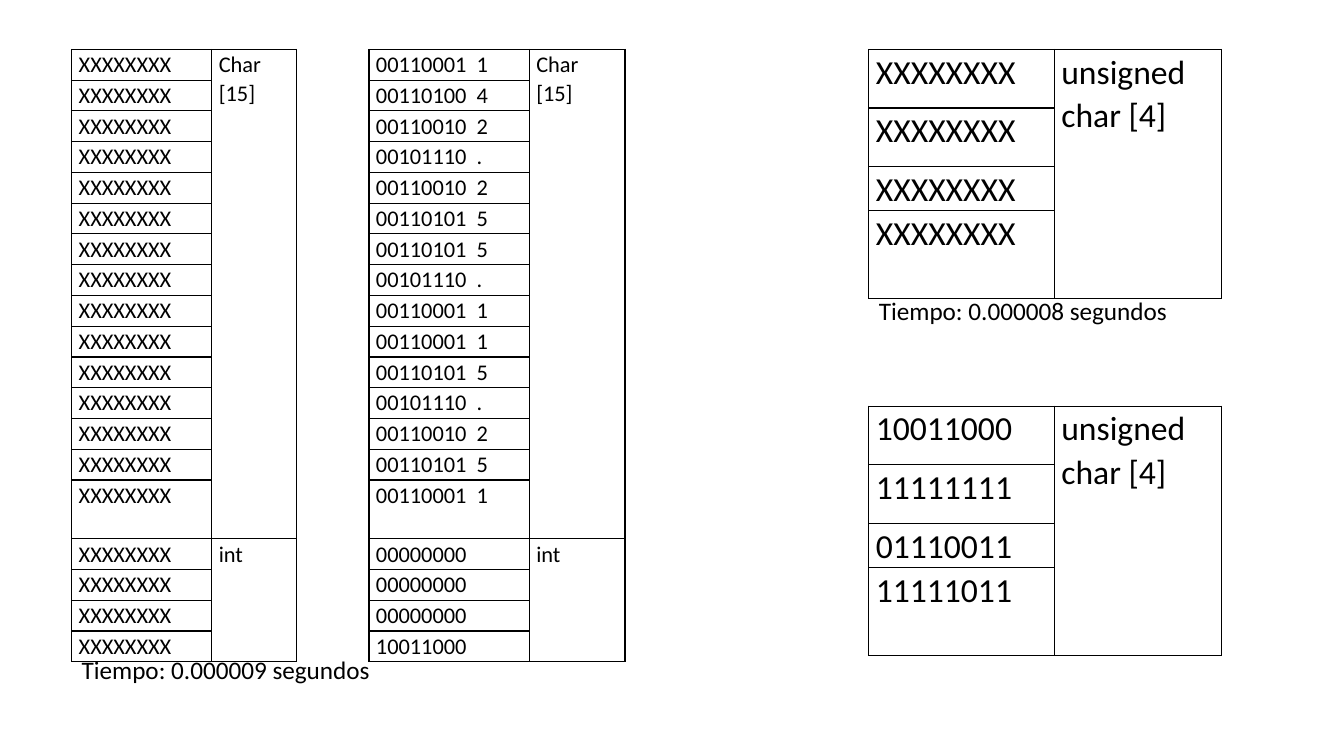
"""Build the slide that compares memory layouts of text and byte addresses."""
from lxml import etree
from pptx import Presentation, util as u
from pptx.dml.color import RGBColor
from pptx.enum import text as t
from pptx.oxml.ns import qn


def paint(hex):
    """Return the colour for a hex string."""
    return RGBColor.from_string(hex)


def write(frame, words, size=18, font="Calibri", ink="000000", line=None, after=0):
    """Put formatted words in a text frame."""
    para = frame.paragraphs[0]
    para.alignment = t.PP_ALIGN.LEFT
    para.space_after = u.Pt(after)
    if line:
        para.line_spacing = line
    run = para.add_run()
    run.text = words
    run.font.size, run.font.name = u.Pt(size), font
    run.font.color.rgb = paint(ink)


class Deck:
    """Hold the style and the current slide; lengths are percent of its size."""

    ink = "000000"
    rule = 1

    def __init__(self):
        """Open a deck with one blank wide slide."""
        self.file = Presentation()
        self.file.slide_width, self.file.slide_height = u.Inches(13.33), u.Inches(7.5)
        self.slide = self.file.slides.add_slide(self.file.slide_layouts[6])

    def wide(self, share):
        """Turn a percent of the width into a length."""
        return round(self.file.slide_width * share / 100)

    def high(self, share):
        """Turn a percent of the height into a length."""
        return round(self.file.slide_height * share / 100)

    def frame(self, cell):
        """Draw the four borders of a cell."""
        props = cell._tc.get_or_add_tcPr()
        for spot, side in enumerate(("L", "R", "T", "B")):
            edge = etree.Element(qn(f"a:ln{side}"), w=str(u.Pt(self.rule)))
            fill = etree.SubElement(edge, qn("a:solidFill"))
            etree.SubElement(fill, qn("a:srgbClr"), val=self.ink)
            props.insert(spot, edge)

    def table(self, left, top, cols, rows, bytes, types, size):
        """Add a column of bytes beside merged type cells."""
        grid = self.slide.shapes.add_table(
            len(rows), len(cols), self.wide(left), self.high(top),
            self.wide(sum(cols)), self.high(sum(rows))).table
        grid.first_row = grid.horz_banding = False
        for col, share in zip(grid.columns, cols):
            col.width = self.wide(share)
        for row, share in zip(grid.rows, rows):
            row.height = self.high(share)
        for cell in grid.iter_cells():
            cell.margin_left = cell.margin_right = u.Inches(0.07)
            cell.margin_top = cell.margin_bottom = 0
            cell.fill.background()
            self.frame(cell)
        look = dict(size=size, ink=self.ink, line=1.07, after=8)
        for row, word in enumerate(bytes):
            write(grid.cell(row, 0).text_frame, word, **look)
        start = 0
        for name, span in types:
            head = grid.cell(start, 1)
            head.merge(grid.cell(start + span - 1, 1))
            write(head.text_frame, name, **look)
            start += span

    def label(self, left, top, words):
        """Add a line of free text."""
        box = self.slide.shapes.add_textbox(
            self.wide(left), self.high(top), self.wide(23.63), self.high(5.33))
        box.text_frame.word_wrap = True
        write(box.text_frame, words, ink=self.ink)


BLANK = "XXXXXXXX"
LEFT, MID, RIGHT = 5.33, 27.45, 64.65
TOP, LOW = 6.53, 53.73
LONG = [4.07] * 14 + [7.78] + [4.07] * 4
SHORT = [7.75, 7.75, 5.83, 11.53]
MIXED = [("Char [15]", 15), ("int", 4)]
PLAIN = [("unsigned char [4]", 4)]

chars = [f"{ord(sign):08b}  {sign}" for sign in "142.255.115.251"]
number = ["00000000"] * 3 + ["10011000"]
packed = ["10011000", "11111111", "01110011", "11111011"]

deck = Deck()
deck.table(LEFT, TOP, [10.43, 6.3], LONG, [BLANK] * 19, MIXED, 16)
deck.table(MID, TOP, [11.93, 7.13], LONG, chars + number, MIXED, 16)
for top, bytes in ((TOP, [BLANK] * 4), (LOW, packed)):
    deck.table(RIGHT, top, [13.8, 12.45], SHORT, bytes, PLAIN, 24)
deck.label(LEFT, 85.87, "Tiempo: 0.000009 segundos")
deck.label(RIGHT, 38.4, "Tiempo: 0.000008 segundos")
deck.file.save("out.pptx")
